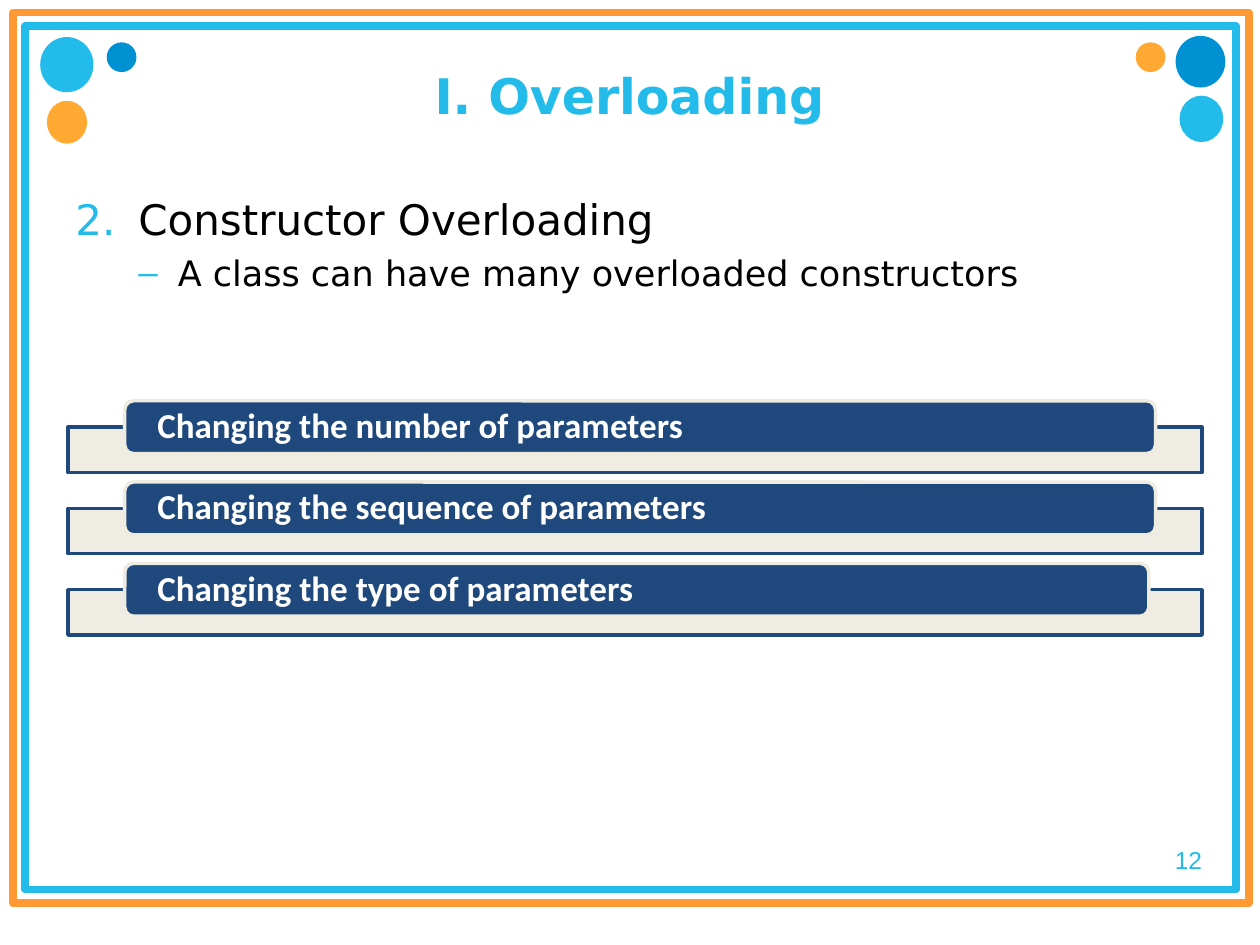
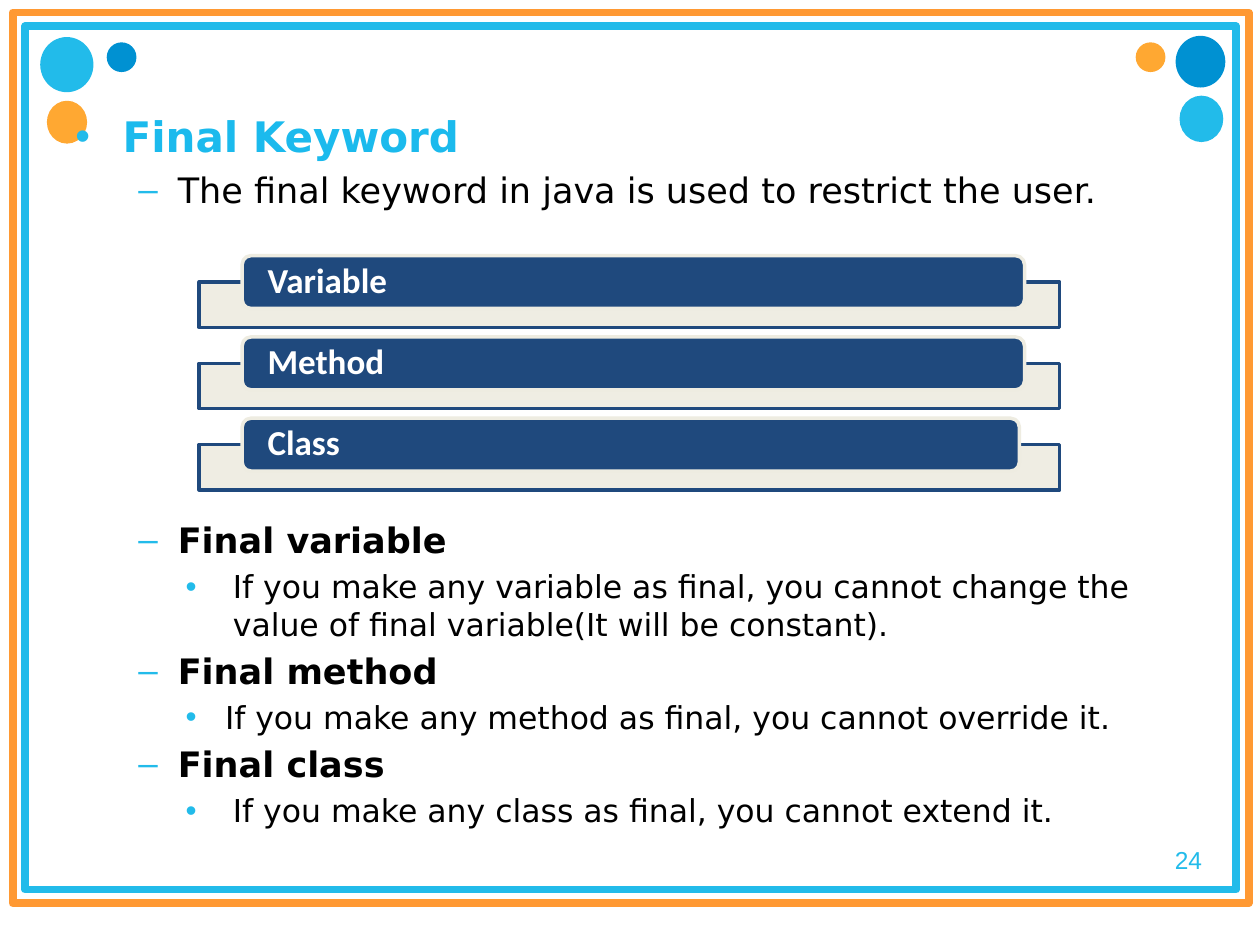
from lxml import etree
from pptx import Presentation
from pptx.dml.color import RGBColor
from pptx.enum import shapes as kinds, text as texts
from pptx.oxml import ns
from pptx.util import Pt

SKY, BLUE, ORANGE, AMBER = "22BBEA", "0091D2", "FF9933", "FF990F"
NAVY, CREAM, WHITE, BLACK = "1F497D", "EEECE1", "FFFFFF", "000000"
SANS = "DejaVu Sans"
SHAPE = kinds.MSO_SHAPE
ALIGN = texts.PP_ALIGN
MIDDLE = texts.MSO_ANCHOR.MIDDLE

LEVELS = {
    "number": dict(size=24, left=36, hang=36, mark=2, before=2),
    "head": dict(size=24, left=27, hang=27, mark="•", before=2,
                 color="1BBAED", bold=True),
    "dash": dict(size=20, left=58.5, hang=22.5, mark="–", before=4),
    "term": dict(size=20, left=58.5, hang=22.5, mark="–", before=4, bold=True),
    "wide": dict(size=18, left=90, hang=27, mark="•", before=3.6),
    "tight": dict(size=18, left=85.5, hang=22.5, mark="•", before=3.6),
}


def paint(color):
    return RGBColor.from_string(color)


def node(parent, tag, **attrs):
    return etree.SubElement(parent, ns.qn(tag), **attrs)


def draw(parts, kind, box, fill=None, line=None, width=2, alpha=None):
    shape = parts.add_shape(kind, *map(Pt, box))
    shape.shadow.inherit = False
    if fill:
        shape.fill.solid()
        shape.fill.fore_color.rgb = paint(fill)
        if alpha:
            tint = shape.fill._xPr.find(ns.qn("a:solidFill"))[0]
            node(tint, "a:alpha", val=str(alpha * 1000))
    else:
        shape.fill.background()
    if line:
        shape.line.color.rgb = paint(line)
        shape.line.width = Pt(width)
        node(shape.line._get_or_add_ln(), "a:round")
    else:
        shape.line.fill.background()
    return shape


def frame(slide, box, anchor=texts.MSO_ANCHOR.TOP):
    area = slide.shapes.add_textbox(*map(Pt, box)).text_frame
    area.word_wrap = True
    area.vertical_anchor = anchor
    return area


def write(area, words, size=20, font=SANS, color=BLACK, bold=False,
          align=ALIGN.LEFT, left=0, hang=0, mark=None, before=0, lead=None):
    para = area.add_paragraph() if area.text else area.paragraphs[0]
    para.alignment = align
    para.space_before = Pt(before)
    if lead:
        para.line_spacing = lead
    if mark:
        props = para._p.get_or_add_pPr()
        props.set("marL", str(Pt(left)))
        props.set("indent", str(-Pt(hang)))
        node(node(props, "a:buClr"), "a:srgbClr", val=SKY)
        if isinstance(mark, int):
            node(props, "a:buFont", typeface=SANS)
            node(props, "a:buAutoNum", type="arabicPeriod", startAt=str(mark))
        else:
            node(props, "a:buFont", typeface="Arial")
            node(props, "a:buChar", char=mark)
    run = para.add_run()
    run.text = words
    run.font.size = Pt(size)
    run.font.name = font
    run.font.bold = bold
    run.font.color.rgb = paint(color)


def corner(slide, x, y, dots):
    for left, top, wide, high, style in dots:
        draw(slide.shapes, SHAPE.OVAL, (x + left, y + top, wide, high), **style)


def base(deck, number):
    slide = deck.slides.add_slide(deck.slide_layouts[6])
    draw(slide.shapes, SHAPE.RECTANGLE, (14.4, 15.1, 692, 493.2), WHITE, SKY, 4.5)
    draw(slide.shapes, SHAPE.RECTANGLE, (7.2, 7.2, 706.3, 509), None, ORANGE, 4.5)
    area = frame(slide, (620.6, 479.5, 73.4, 24.5))
    write(area, number, size=14, font="Arial", color=SKY, align=ALIGN.RIGHT)
    sky = dict(fill=SKY, line=SKY)
    blue = dict(fill=BLUE)
    amber = dict(fill=AMBER, alpha=85)
    corner(slide, 24, 20, [(0, 2.2, 28.4, 29.5, sky),
                           (37, 4.2, 17, 17, blue),
                           (2.8, 37.6, 23, 24.5, amber)])
    corner(slide, 649, 20, [(22.8, 0.5, 28.4, 29.5, blue),
                            (26, 35.7, 23, 24.5, sky),
                            (0, 4.2, 17, 17, amber)])
    return slide


def body(slide, box, items):
    area = frame(slide, box)
    for level, words in items:
        write(area, words, **LEVELS[level])


def bars(slide, left, top, wide, labels, step=46.45):
    parts = slide.shapes.add_group_shape().shapes
    for i, label in enumerate(labels):
        y = top + i * step
        part = 0.903 if i == len(labels) - 1 else 0.909
        draw(parts, SHAPE.RECTANGLE, (left, y + 15.1, wide, 25.9),
             CREAM, NAVY, alpha=90)
        bar = draw(parts, SHAPE.ROUNDED_RECTANGLE,
                   (left + wide * 0.05, y, wide * part, 30.2), NAVY, CREAM)
        area = bar.text_frame
        area.word_wrap = True
        area.vertical_anchor = MIDDLE
        area.margin_left = area.margin_right = Pt(wide * 0.0265)
        area.margin_top = area.margin_bottom = 0
        write(area, label, font="Calibri", color=WHITE, bold=True, lead=0.9)


def loading(deck):
    slide = base(deck, "12")
    title = frame(slide, (36, 17.3, 647.3, 74.2), MIDDLE)
    write(title, "I. Overloading", size=28, color=SKY, bold=True,
          align=ALIGN.CENTER)
    body(slide, (36, 107.3, 647.3, 308), [
        ("number", "Constructor Overloading"),
        ("dash", "A class can have many overloaded constructors"),
    ])
    bars(slide, 38.9, 229, 648, [
        f"Changing the {what} of parameters"
        for what in ("number", "sequence", "type")])


def final(deck):
    slide = base(deck, "24")
    body(slide, (36, 59.8, 647.3, 70), [
        ("head", "Final Keyword"),
        ("dash", "The final keyword in java is used to restrict the user."),
    ])
    bars(slide, 113.8, 146.1, 491.8, ["Variable", "Method", "Class"])
    body(slide, (36, 293, 647.3, 190), [
        ("term", "Final variable"),
        ("wide", "If you make any variable as final, you cannot change the "
                 "value of final variable(It will be constant)."),
        ("term", "Final method"),
        ("tight", "If you make any method as final, you cannot override it."),
        ("term", "Final class"),
        ("wide", "If you make any class as final, you cannot extend it."),
    ])


def main():
    deck = Presentation()
    deck.slide_width, deck.slide_height = Pt(720), Pt(540)
    loading(deck)
    final(deck)
    deck.save("out.pptx")


if __name__ == "__main__":
    main()
